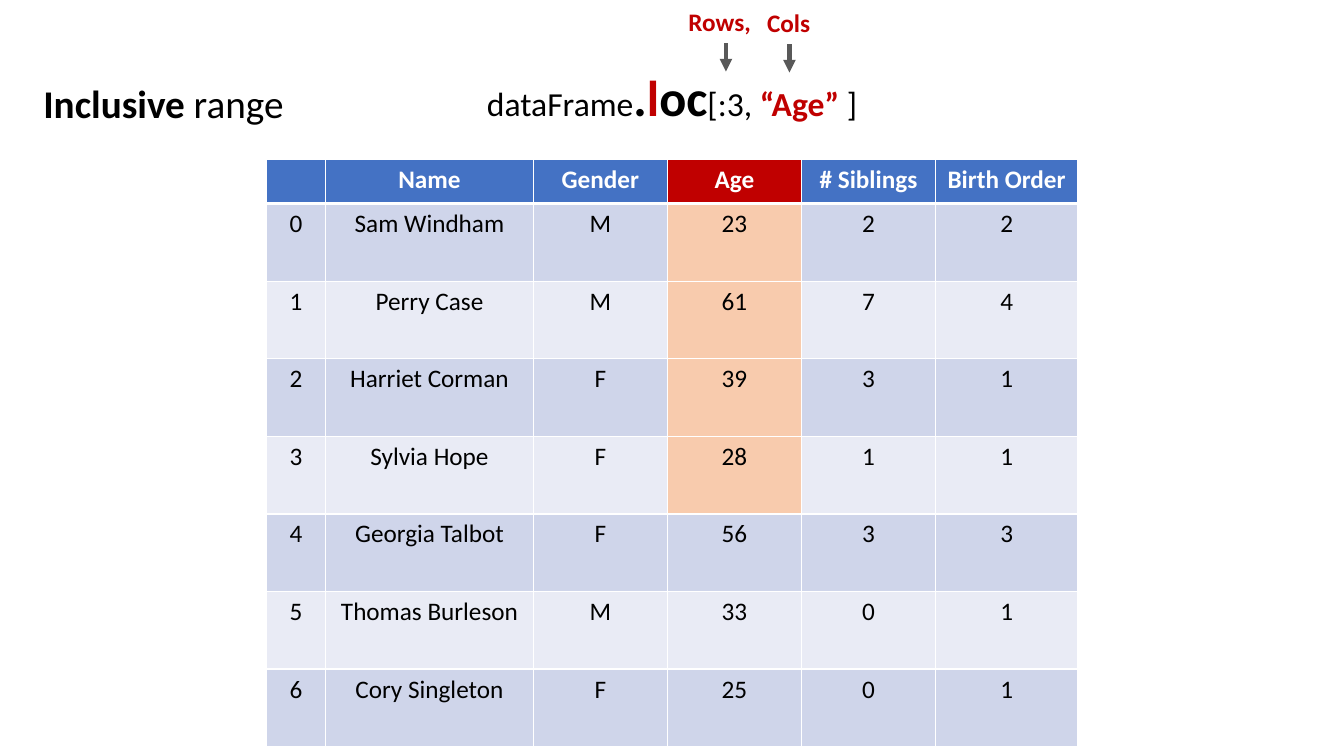
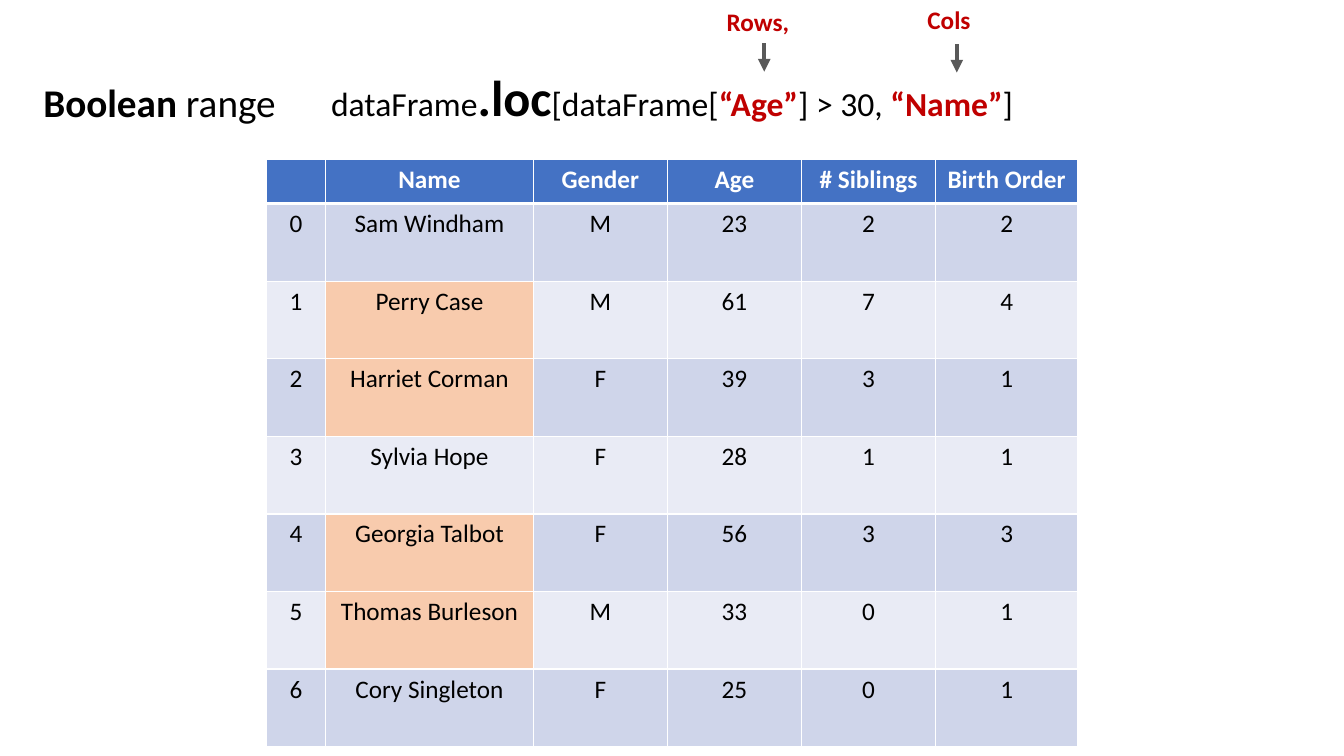
"""Build two slides on selecting rows and columns of a data frame with loc."""
import pptx
import pptx.util
import pptx.dml.color
import pptx.enum.shapes
import pptx.enum.text
import pptx.oxml.ns
import lxml.etree

BLACK = pptx.dml.color.RGBColor(0x00, 0x00, 0x00)
WHITE = pptx.dml.color.RGBColor(0xFF, 0xFF, 0xFF)
RED = pptx.dml.color.RGBColor(0xC0, 0x00, 0x00)
GRAY = pptx.dml.color.RGBColor(0x59, 0x59, 0x59)
BLUE = pptx.dml.color.RGBColor(0x44, 0x72, 0xC4)
PEACH = pptx.dml.color.RGBColor(0xF8, 0xCB, 0xAD)
BANDS = (pptx.dml.color.RGBColor(0xCF, 0xD5, 0xEA), pptx.dml.color.RGBColor(0xE9, 0xEB, 0xF5))
FONT = "Calibri"
LEFT = pptx.enum.text.PP_ALIGN.LEFT
CENTER = pptx.enum.text.PP_ALIGN.CENTER

WIDTH, HEIGHT = 13.33, 7.5
COLUMNS = (0.59, 2.06, 1.33, 1.33, 1.33, 1.41)
HEADER_ROW, BODY_ROW = 0.44, 0.77
TABLE_TOP = 1.58
ARROW_LENGTH = 0.28

HEADINGS = ("", "Name", "Gender", "Age", "# Siblings", "Birth Order")
PEOPLE = (
    ("Sam Windham", "M", 23, 2, 2),
    ("Perry Case", "M", 61, 7, 4),
    ("Harriet Corman", "F", 39, 3, 1),
    ("Sylvia Hope", "F", 28, 1, 1),
    ("Georgia Talbot", "F", 56, 3, 3),
    ("Thomas Burleson", "M", 33, 0, 1),
    ("Cory Singleton", "F", 25, 0, 1),
)
RECORDS = [HEADINGS] + [(index, *person) for index, person in enumerate(PEOPLE)]

SLIDES = (
    {
        "kind": "Inclusive",
        "title_top": 0.74,
        "formula_width": 4.39,
        "formula": (("dataFrame", 24, BLACK, False), (".", 36, BLACK, True), ("l", 36, RED, True),
                    ("oc", 36, BLACK, True), ("[:3, ", 24, BLACK, False),
                    ("“Age”", 24, RED, True), (" ]", 24, BLACK, False)),
        "labels": (("Rows,", 6.73, 0.01, 0.83, 7.2, 0.43), ("Cols", 7.51, 0.02, 0.76, 7.83, 0.44)),
        "column": "Age",
        "rows": [index for index in range(len(PEOPLE)) if index <= 3],
        "heading_fill": RED,
    },
    {
        "kind": "Boolean",
        "title_top": 0.73,
        "formula_width": 7.15,
        "formula": (("dataFrame", 24, BLACK, False), (".loc", 36, BLACK, True),
                    ("[dataFrame[", 24, BLACK, False), ("“Age”", 24, RED, True),
                    ("] > 30, ", 24, BLACK, False), ("“Name”", 24, RED, True),
                    ("]", 24, BLACK, False)),
        "labels": (("Rows,", 7.11, 0.01, 0.83, 7.58, 0.43), ("Cols", 9.1, -0.01, 0.76, 9.49, 0.44)),
        "column": "Name",
        "rows": [index for index, person in enumerate(PEOPLE) if person[2] > 30],
        "heading_fill": BLUE,
    },
)


def write(frame, spans, align):
    """Fill a text frame with one paragraph of formatted runs."""
    para = frame.paragraphs[0]
    para.alignment = align
    for text, size, color, bold in spans:
        span = para.add_run()
        span.text = text
        span.font.name = FONT
        span.font.size = pptx.util.Pt(size)
        span.font.color.rgb = color
        span.font.bold = bold


def place(shape, left, top, width, height):
    """Put a text shape in position, given in inches."""
    shape.left, shape.top, shape.width, shape.height = map(
        pptx.util.Inches, (left, top, width, height))
    shape.text_frame.word_wrap = True
    shape.text_frame.auto_size = pptx.enum.text.MSO_AUTO_SIZE.SHAPE_TO_FIT_TEXT
    shape.text_frame.vertical_anchor = pptx.enum.text.MSO_ANCHOR.TOP


deck = pptx.Presentation()
deck.slide_width = pptx.util.Inches(WIDTH)
deck.slide_height = pptx.util.Inches(HEIGHT)
title_only = deck.slide_layouts.get_by_name("Title Only")

for content in SLIDES:
    page = deck.slides.add_slide(title_only)

    title = page.shapes.title
    place(title, 0.33, content["title_top"], 2.61, 0.57)
    write(title.text_frame, ((content["kind"], 28, BLACK, True), (" range", 28, BLACK, False)), LEFT)

    table_width = sum(COLUMNS)
    table = page.shapes.add_table(
        len(RECORDS), len(COLUMNS),
        pptx.util.Inches((WIDTH - table_width) / 2), pptx.util.Inches(TABLE_TOP),
        pptx.util.Inches(table_width),
        pptx.util.Inches(HEADER_ROW + BODY_ROW * len(PEOPLE))).table
    for column, width in zip(table.columns, COLUMNS):
        column.width = pptx.util.Inches(width)

    for row, record in enumerate(RECORDS):
        is_header = row == 0
        table.rows[row].height = pptx.util.Inches(HEADER_ROW if is_header else BODY_ROW)
        for column, value in enumerate(record):
            cell = table.cell(row, column)
            selected = HEADINGS[column] == content["column"]
            if is_header:
                fill = content["heading_fill"] if selected else BLUE
            elif selected and row - 1 in content["rows"]:
                fill = PEACH
            else:
                fill = BANDS[(row - 1) % 2]
            properties = cell._tc.get_or_add_tcPr()
            for side in ("lnL", "lnR", "lnT", "lnB"):
                thick = (is_header and side == "lnB") or (row == 1 and side == "lnT")
                border = lxml.etree.SubElement(
                    properties, pptx.oxml.ns.qn("a:" + side), w=str(pptx.util.Pt(3 if thick else 1)))
                solid = lxml.etree.SubElement(border, pptx.oxml.ns.qn("a:solidFill"))
                lxml.etree.SubElement(solid, pptx.oxml.ns.qn("a:srgbClr"), val=str(WHITE))
            cell.fill.solid()
            cell.fill.fore_color.rgb = fill
            if value != "":
                write(cell.text_frame,
                      ((str(value), 18, WHITE if is_header else BLACK, is_header),), CENTER)

    formula = page.shapes.add_textbox(0, 0, 0, 0)
    formula_width = content["formula_width"]
    place(formula, (WIDTH - formula_width) / 2, 0.61, formula_width, 0.71)
    write(formula.text_frame, content["formula"], CENTER)

    for text, left, top, width, arrow_left, arrow_top in content["labels"]:
        label = page.shapes.add_textbox(0, 0, 0, 0)
        place(label, left, top, width, 0.4)
        write(label.text_frame, ((text, 18, RED, True),), LEFT)

        arrow = page.shapes.add_connector(
            pptx.enum.shapes.MSO_CONNECTOR.STRAIGHT,
            pptx.util.Inches(arrow_left), pptx.util.Inches(arrow_top),
            pptx.util.Inches(arrow_left), pptx.util.Inches(arrow_top + ARROW_LENGTH))
        arrow.line.color.rgb = GRAY
        arrow.line.width = pptx.util.Pt(3)
        lxml.etree.SubElement(arrow.line._get_or_add_ln(), pptx.oxml.ns.qn("a:tailEnd"), type="triangle")
        lxml.etree.SubElement(arrow._element.spPr, pptx.oxml.ns.qn("a:effectLst"))

deck.save("out.pptx")
